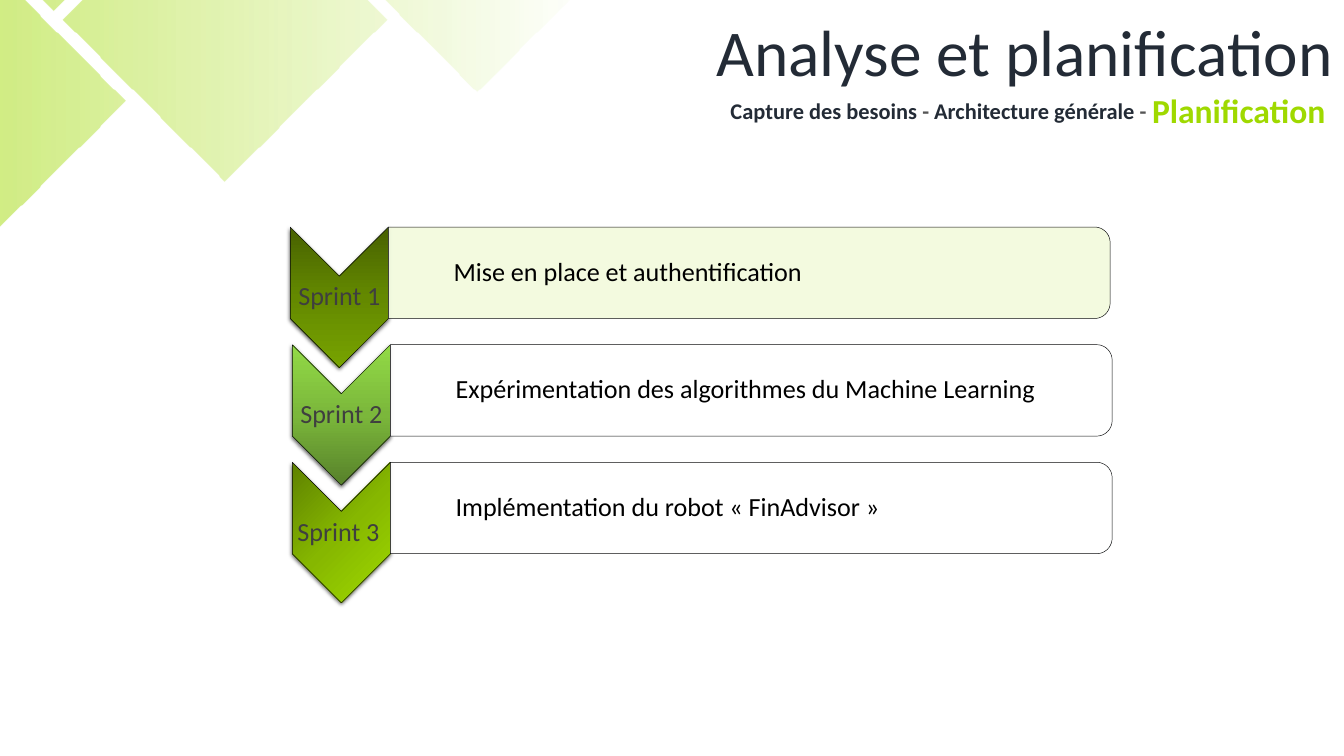
from math import cos, pi, sin

from lxml.etree import SubElement
from pptx import Presentation
from pptx.dml.color import RGBColor
from pptx.enum.text import MSO_ANCHOR as Anchor, MSO_AUTO_SIZE as AutoSize, PP_ALIGN as Align
from pptx.oxml.ns import qn
from pptx.util import Inches, Pt

# The slide is a grid of one-inch columns and rows.
COLUMNS, ROWS = 20, 11.25
FONT = "Calibri"
COLORS = {
    "title": "232B36", "dash": "555555", "accent": "9FD900", "outline": "08090A",
    "label": "3F3F3F", "body": "000000", "current": "F2FADC", "plain": "FFFFFF",
}
SPRINTS = [
    # label, description, panel colour, gradient stops, gradient angle, left
    ("Sprint 1", "Mise en place et authentification", "current",
     ("476100", "648900", "77A300"), 90, 4.32),
    ("Sprint 2", "Expérimentation des algorithmes du Machine Learning", "plain",
     ("57812A", "7BB73B", "92DA46"), 270, 4.35),
    ("Sprint 3 ", "Implémentation du robot « FinAdvisor »", "plain",
     ("5E8100", "86B700", "9FD900"), 45, 4.35),
]
FIRST_TOP, ROW_PITCH = 3.38, 1.75
CHEVRON_WIDTH, CHEVRON_HEIGHT = 1.46, 2.09
PANEL_WIDTH, PANEL_HEIGHT, PANEL_RADIUS = 10.74, 1.36, 0.23
DIAMOND_RADIUS = 2.41
DIAMOND_CENTERS = [(-0.54, 1.49), (3.34, 0.28), (7.09, -1.05), (0.8, -2.26)]


def format_run(run, size, color, bold=False):
    font = run.font
    font.name, font.size, font.bold = FONT, Pt(size), bold
    font.color.rgb = RGBColor.from_string(COLORS[color])


def add_polygons(slide, polygons):
    """Draw closed outlines, given in grid units, as one shape without shadow."""
    builder = None
    for polygon in polygons:
        start, *others = [(Inches(x), Inches(y)) for x, y in polygon]
        if builder is None:
            builder = slide.shapes.build_freeform(*start, scale=1.0)
        else:
            builder.move_to(*start)
        builder.add_line_segments(others, close=True)
    shape = builder.convert_to_shape()
    shape.shadow.inherit = False
    return shape


def add_alpha(color_element, percent):
    SubElement(color_element, qn("a:alpha"), val=str(percent * 1000))


def fill_gradient(shape, stops, angle):
    """Fill with (position, hex colour, opacity) stops; the angle runs clockwise."""
    shape.fill.gradient()
    shape.fill.gradient_angle = (360 - angle) % 360
    stop_list = shape._element.spPr.find(qn("a:gradFill")).find(qn("a:gsLst"))
    for old_stop in list(stop_list):
        stop_list.remove(old_stop)
    for position, color, opacity in stops:
        stop = SubElement(stop_list, qn("a:gs"), pos=str(position * 1000))
        add_alpha(SubElement(stop, qn("a:srgbClr"), val=color), opacity)


def set_outline(shape):
    shape.line.color.rgb = RGBColor.from_string(COLORS["outline"])
    shape.line.width = Pt(0.5)


def add_drop_shadow(shape):
    effects = shape._element.spPr.find(qn("a:effectLst"))
    shadow = SubElement(effects, qn("a:outerShdw"), blurRad=str(Pt(4.5)), dist=str(Pt(1.5)),
                        dir="5400000", algn="ctr", rotWithShape="0")
    add_alpha(SubElement(shadow, qn("a:srgbClr"), val="000000"), 63)


def write_in_shape(shape, text, color, align, margins):
    frame = shape.text_frame
    frame.word_wrap = True
    frame.vertical_anchor = Anchor.MIDDLE
    (frame.margin_left, frame.margin_top,
     frame.margin_right, frame.margin_bottom) = map(Inches, margins)
    frame.text = text
    paragraph = frame.paragraphs[0]
    paragraph.alignment, paragraph.line_spacing = align, 0.9
    format_run(paragraph.runs[0], 28, color)


def add_chevron(slide, left, top, label, colors, angle):
    right, middle = left + CHEVRON_WIDTH, left + CHEVRON_WIDTH / 2
    notch = CHEVRON_WIDTH / 2
    bottom = top + CHEVRON_HEIGHT
    shape = add_polygons(slide, [[
        (right, top), (right, bottom - notch), (middle, bottom),
        (left, bottom - notch), (left, top), (middle, top + notch),
    ]])
    fill_gradient(shape, [(50 * i, color, 100) for i, color in enumerate(colors)], angle)
    set_outline(shape)
    add_drop_shadow(shape)
    write_in_shape(shape, label, "label", Align.CENTER, (0.02, 0.75, 0.02, 0.75))


def add_panel(slide, left, top, text, color):
    """Draw a box whose two right corners are rounded."""
    right, bottom, radius = left + PANEL_WIDTH, top + PANEL_HEIGHT, PANEL_RADIUS
    turns = [pi / 2 * step / 12 for step in range(13)]
    upper = [(right - radius + radius * sin(t), top + radius - radius * cos(t)) for t in turns]
    lower = [(x, top + bottom - y) for x, y in reversed(upper)]
    shape = add_polygons(slide, [[(left, top), *upper, *lower, (left, bottom)]])
    shape.fill.solid()
    shape.fill.fore_color.rgb = RGBColor.from_string(COLORS[color])
    add_alpha(shape._element.spPr.find(qn("a:solidFill"))[0], 90)
    set_outline(shape)
    # The left margin includes the indent of the description.
    write_in_shape(shape, text, "body", Align.JUSTIFY, (0.97, 0.09, 0.09, 0.09))


def add_sprints(slide):
    for row, (label, text, panel_color, colors, angle, left) in enumerate(SPRINTS):
        top = FIRST_TOP + row * ROW_PITCH
        add_chevron(slide, left, top, label, colors, angle)
        add_panel(slide, left + CHEVRON_WIDTH, top, text, panel_color)


def add_diamonds(slide):
    radius = DIAMOND_RADIUS
    shape = add_polygons(slide, [
        [(x, y - radius), (x - radius, y), (x, y + radius), (x + radius, y)]
        for x, y in DIAMOND_CENTERS
    ])
    fill_gradient(shape, [(0, COLORS["accent"], 64), (94, COLORS["accent"], 0)], 0)
    shape.line.fill.background()


def place_heading(shape, box, runs, size, bold):
    shape.left, shape.top, shape.width, shape.height = map(Inches, box)
    frame = shape.text_frame
    frame.word_wrap = True
    frame.auto_size = AutoSize.NONE
    frame.vertical_anchor = Anchor.TOP
    paragraph = frame.paragraphs[0]
    paragraph.alignment = Align.CENTER
    for text, color in runs:
        run = paragraph.add_run()
        run.text = text
        format_run(run, size, color, bold)


def add_header(slide):
    place_heading(slide.shapes.title, (10.42, 0.11, 9.65, 1.28),
                  [("Analyse et planification", "title")], 70, False)
    steps = [("Capture des besoins ", "title"), ("- ", "dash"),
             ("Architecture générale", "title"), (" -", "dash")]
    for box, runs, size in [
        ((9.14, 1.39, 9.65, 0.5), steps, 24),
        ((16.9, 1.29, 3.07, 0.71), [("Planification", "accent")], 36),
    ]:
        place_heading(slide.shapes.add_textbox(0, 0, 0, 0), box, runs, size, True)


def main():
    presentation = Presentation()
    presentation.slide_width, presentation.slide_height = Inches(COLUMNS), Inches(ROWS)
    slide = presentation.slides.add_slide(presentation.slide_layouts[5])
    add_header(slide)
    add_sprints(slide)
    add_diamonds(slide)
    presentation.save("out.pptx")


if __name__ == "__main__":
    main()
